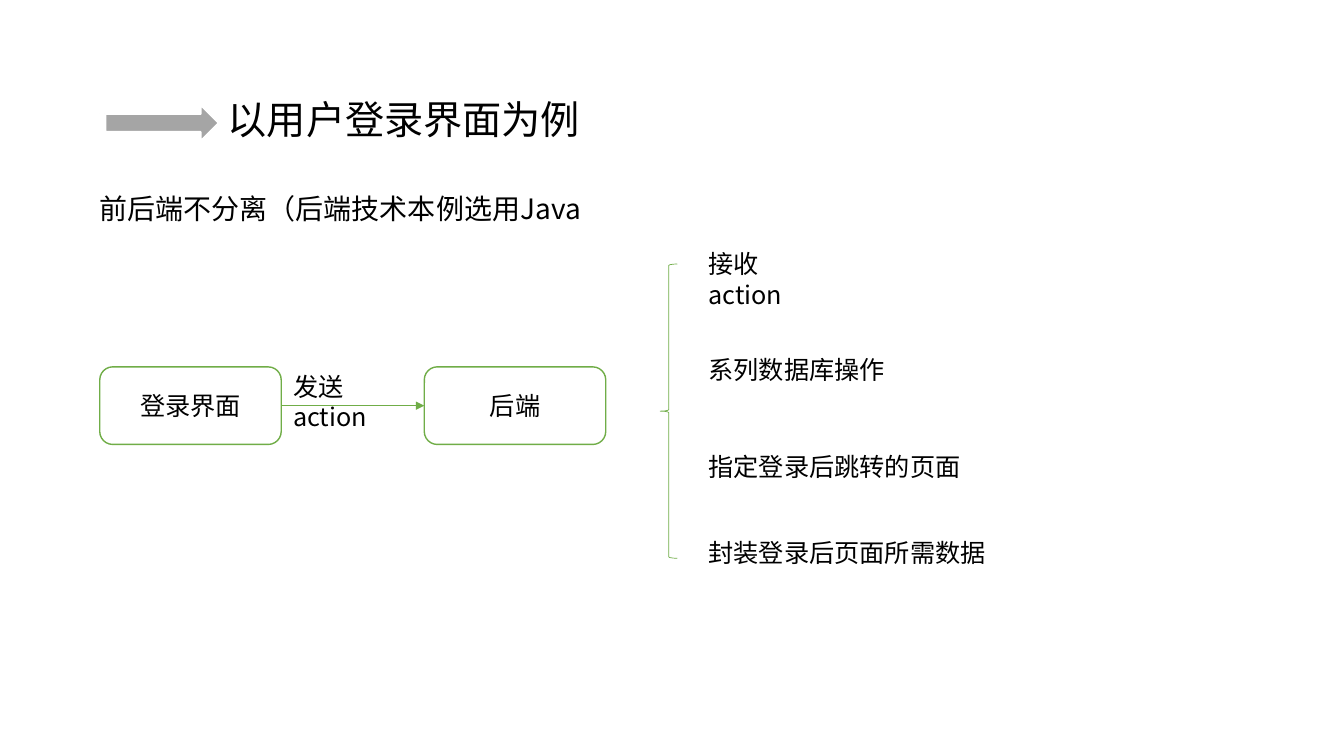
import dataclasses

import pptx
import pptx.dml.color
import pptx.enum.shapes
import pptx.enum.text
import pptx.oxml.ns
import pptx.util
from lxml import etree

Pt = pptx.util.Pt
SHAPE = pptx.enum.shapes.MSO_SHAPE
ALIGN = pptx.enum.text.PP_ALIGN
ANCHOR = pptx.enum.text.MSO_ANCHOR
qn = pptx.oxml.ns.qn

FONT = "Noto Sans CJK SC"
COLORS = {"text": "000000", "paper": "FFFFFF", "green": "70AD47", "gray": "A5A5A5"}
FRAME = {"word_wrap": True, "auto_size": pptx.enum.text.MSO_AUTO_SIZE.NONE}


@dataclasses.dataclass
class Box:
    """Place of an object in points, with its text and text size."""
    left: float
    top: float
    width: float
    height: float
    text: str = ""
    size: float = 18

    def place(self) -> list:
        """Return left, top, width and height as lengths."""
        return [Pt(v) for v in (self.left, self.top, self.width, self.height)]


TITLE = Box(155.5, 41, 738, 92.2, "以用户登录界面为例", 28)
ARROW = Box(71.3, 74.9, 85, 25.9)
BRACE = Box(471.6, 188.6, 12.2, 210.2)
LOGIN, BACKEND = [Box(left, 262.1, 129.6, 55.4, text)
                  for left, text in ((71.3, "登录界面"), (303.1, "后端"))]
STEPS = [Box(499, top, width, 28.8, text) for top, width, text in (
    (174.2, 98.6, "接收action"),
    (249.8, 141.8, "系列数据库操作"),
    (319, 196.6, "指定登录后跳转的页面"),
    (380.2, 214.6, "封装登录后页面所需数据"),
)]
LABELS = [
    Box(64, 133.2, 839.5, 55.4, "前后端不分离（后端技术本例选用Java", 20),
    *STEPS,
    Box(202.3, 261.4, 98.6, 28.8, "发送action"),
]


def rgb(name: str) -> pptx.dml.color.RGBColor:
    """Look up a colour by name."""
    return pptx.dml.color.RGBColor.from_string(COLORS[name])


def write(sp, box: Box, align=ALIGN.LEFT, anchor=ANCHOR.TOP, spacing=1.0) -> None:
    """Put the text of a box into a shape and format it."""
    tf = sp.text_frame
    for key, value in {**FRAME, "vertical_anchor": anchor}.items():
        setattr(tf, key, value)
    p = tf.paragraphs[0]
    p.alignment, p.line_spacing = align, spacing
    r = p.add_run()
    r.text = box.text
    for key, value in {"size": Pt(box.size), "name": FONT}.items():
        setattr(r.font, key, value)
    r.font.color.rgb = rgb("text")
    etree.SubElement(r.font._element, qn("a:ea"), typeface=FONT)


def add_shape(slide, kind, box: Box, fill: str, line: str, weight: float):
    """Draw a preset shape; an empty fill name leaves it hollow."""
    sp = slide.shapes.add_shape(kind, *box.place())
    sp.shadow.inherit = False
    if fill:
        sp.fill.solid()
        sp.fill.fore_color.rgb = rgb(fill)
    else:
        sp.fill.background()
    sp.line.color.rgb = rgb(line)
    sp.line.width = Pt(weight)
    if box.text:
        write(sp, box, ALIGN.CENTER, ANCHOR.MIDDLE)
    return sp


def add_arrow(slide, start, end) -> None:
    """Join the right side of one shape to the left side of another."""
    line = slide.shapes.add_connector(
        pptx.enum.shapes.MSO_CONNECTOR.STRAIGHT, 0, 0, 0, 0)
    line.begin_connect(start, 3)
    line.end_connect(end, 1)
    line.line.color.rgb = rgb("green")
    line.line.width = Pt(0.5)
    etree.SubElement(line.line._get_or_add_ln(), qn("a:tailEnd"), type="triangle")
    etree.SubElement(line._element.spPr, qn("a:effectLst"))


def main() -> None:
    """Build and save the slide."""
    prs = pptx.Presentation()
    prs.slide_width, prs.slide_height = Pt(960), Pt(540)
    slide = prs.slides.add_slide(prs.slide_layouts[5])

    title = slide.shapes.title
    title.left, title.top, title.width, title.height = TITLE.place()
    write(title, TITLE, anchor=ANCHOR.MIDDLE, spacing=0.9)

    add_shape(slide, SHAPE.STRIPED_RIGHT_ARROW, ARROW, "gray", "paper", 1.5)
    login, backend = [add_shape(slide, SHAPE.ROUNDED_RECTANGLE, box, "paper", "green", 1)
                      for box in (LOGIN, BACKEND)]
    add_arrow(slide, login, backend)
    add_shape(slide, SHAPE.LEFT_BRACE, BRACE, "", "green", 0.5)
    for box in LABELS:
        write(slide.shapes.add_textbox(*box.place()), box)

    prs.save("out.pptx")


main()
